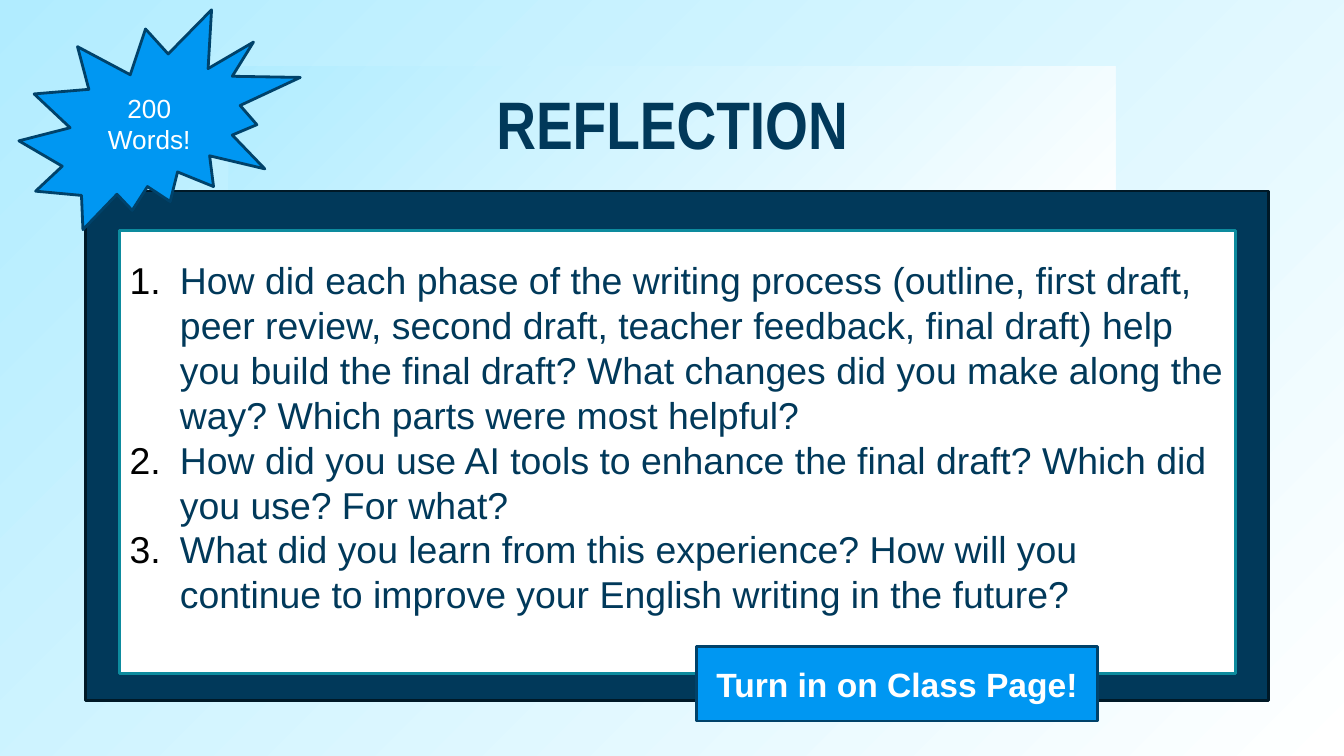
from dataclasses import dataclass

from lxml import etree
from pptx import Presentation
from pptx import util as u
from pptx.dml import color
from pptx.enum import shapes, text
from pptx.oxml import ns

NAVY, SKY, WHITE, BLUE, BLUE_EDGE = "01395A", "B1ECFF", "FFFFFF", "0097F2", "00426A"
QUESTION_INDENT = u.Pt(36)


@dataclass(frozen=True)
class Panel:
    left: float
    top: float
    width: float
    height: float
    lines: tuple[str, ...] = ()
    fill: str | None = None  # None gives the sky gradient
    edge: str | None = None
    size: float = 18.7
    ink: str = WHITE
    bold: bool = False
    font: str = "Arial"
    numbered: bool = False
    anchor: text.MSO_ANCHOR = text.MSO_ANCHOR.MIDDLE
    top_inset: float = 3.6
    bottom_inset: float = 3.6
    kind: shapes.MSO_SHAPE = shapes.MSO_SHAPE.RECTANGLE


QUESTIONS = (
    "How did each phase of the writing process (outline, first draft, peer review, "
    "second draft, teacher feedback, final draft) help you build the final draft? "
    "What changes did you make along the way? Which parts were most helpful?",
    "How did you use AI tools to enhance the final draft? Which did you use? For what?",
    "What did you learn from this experience? How will you continue to improve your "
    "English writing in the future?",
)

PANELS = (
    Panel(163.5, 47.5, 633.5, 129.5, ("REFLECTION",), size=48, ink=NAVY, bold=True,
          font="Arial Narrow", anchor=text.MSO_ANCHOR.TOP, top_inset=11),
    Panel(61, 136.5, 845, 364, fill=NAVY, edge="001927"),
    Panel(85.5, 164.5, 797, 316.5, QUESTIONS, fill=WHITE, edge="0D8B9E", size=26.7,
          ink=NAVY, numbered=True, bottom_inset=25),
    Panel(13.5, 7, 201, 157, ("200 Words!",), fill=BLUE, edge=BLUE_EDGE,
          kind=shapes.MSO_SHAPE.EXPLOSION2),
    Panel(497.5, 461.5, 286.5, 53.5, ("Turn in on Class Page!",), fill=BLUE,
          edge=BLUE_EDGE, size=24, bold=True),
)


def rgb(value: str) -> color.RGBColor:
    return color.RGBColor.from_string(value)


def fill_with_sky(fill) -> None:
    """Run the gradient from the top left to the bottom right."""
    fill.gradient()
    fill.gradient_angle = 315
    for stop, value in zip(fill.gradient_stops, (SKY, WHITE)):
        stop.color.rgb = rgb(value)


def number_paragraph(paragraph) -> None:
    properties = paragraph._p.get_or_add_pPr()
    properties.set("marL", str(QUESTION_INDENT))
    properties.set("indent", str(-QUESTION_INDENT))
    bullet_color = etree.SubElement(properties, ns.qn("a:buClr"))
    etree.SubElement(bullet_color, ns.qn("a:srgbClr"), val="000000")
    etree.SubElement(properties, ns.qn("a:buAutoNum"), type="arabicPeriod")


def write_lines(frame, panel: Panel) -> None:
    frame_format = {
        "word_wrap": True,
        "vertical_anchor": panel.anchor,
        "margin_top": u.Pt(panel.top_inset),
        "margin_bottom": u.Pt(panel.bottom_inset),
    }
    for name, value in frame_format.items():
        setattr(frame, name, value)
    font_format = {"name": panel.font, "size": u.Pt(panel.size), "bold": panel.bold}
    for index, line in enumerate(panel.lines):
        paragraph = frame.add_paragraph() if index else frame.paragraphs[0]
        paragraph.alignment = text.PP_ALIGN.LEFT if panel.numbered else text.PP_ALIGN.CENTER
        if panel.numbered:
            number_paragraph(paragraph)
        run = paragraph.add_run()
        run.text = line
        for name, value in font_format.items():
            setattr(run.font, name, value)
        run.font.color.rgb = rgb(panel.ink)


def draw_panel(slide, panel: Panel) -> None:
    box = (u.Pt(side) for side in (panel.left, panel.top, panel.width, panel.height))
    shape = slide.shapes.add_shape(panel.kind, *box)
    shape.shadow.inherit = False
    if panel.fill:
        shape.fill.solid()
        shape.fill.fore_color.rgb = rgb(panel.fill)
    else:
        fill_with_sky(shape.fill)
    if panel.edge:
        shape.line.color.rgb = rgb(panel.edge)
        shape.line.width = u.Pt(2)
    else:
        shape.line.fill.background()
    if panel.lines:
        write_lines(shape.text_frame, panel)


def main() -> None:
    presentation = Presentation()
    presentation.slide_width, presentation.slide_height = u.Pt(960), u.Pt(540)
    slide = presentation.slides.add_slide(presentation.slide_layouts[6])
    fill_with_sky(slide.background.fill)
    for panel in PANELS:
        draw_panel(slide, panel)
    presentation.save("out.pptx")


if __name__ == "__main__":
    main()
